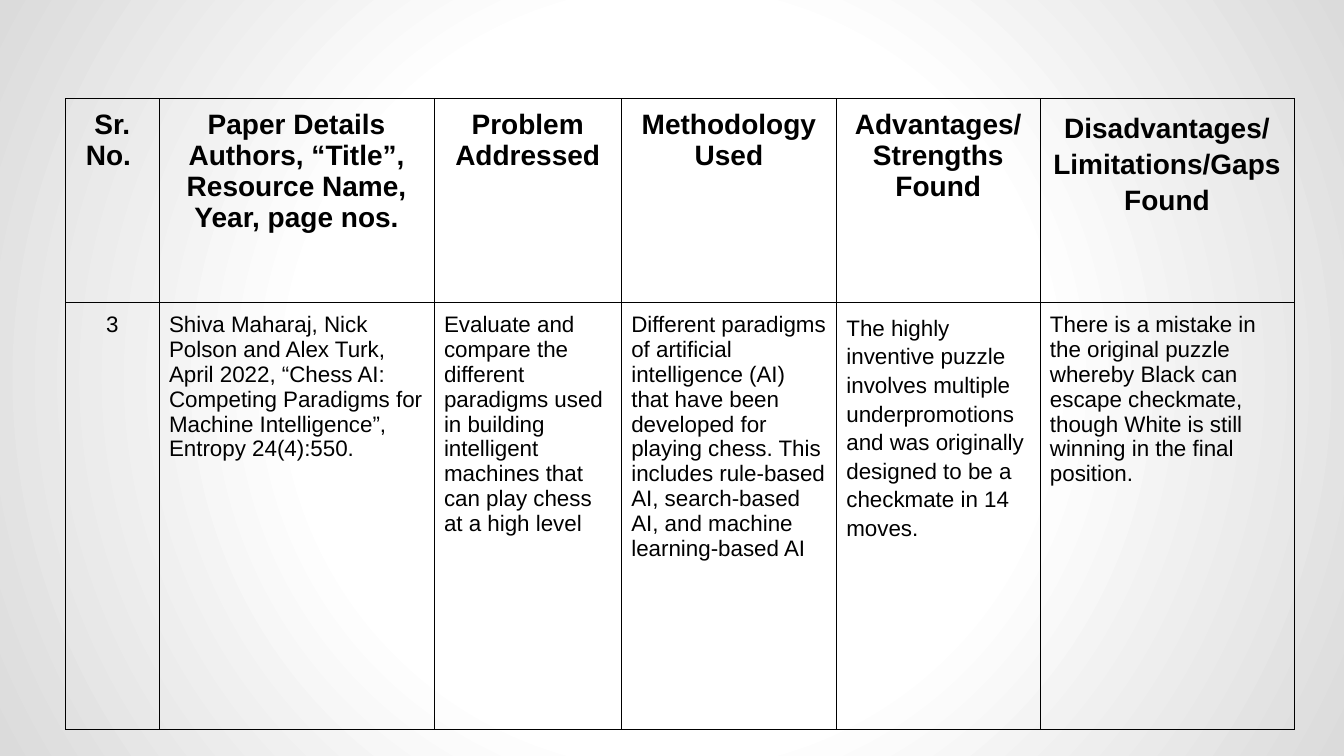
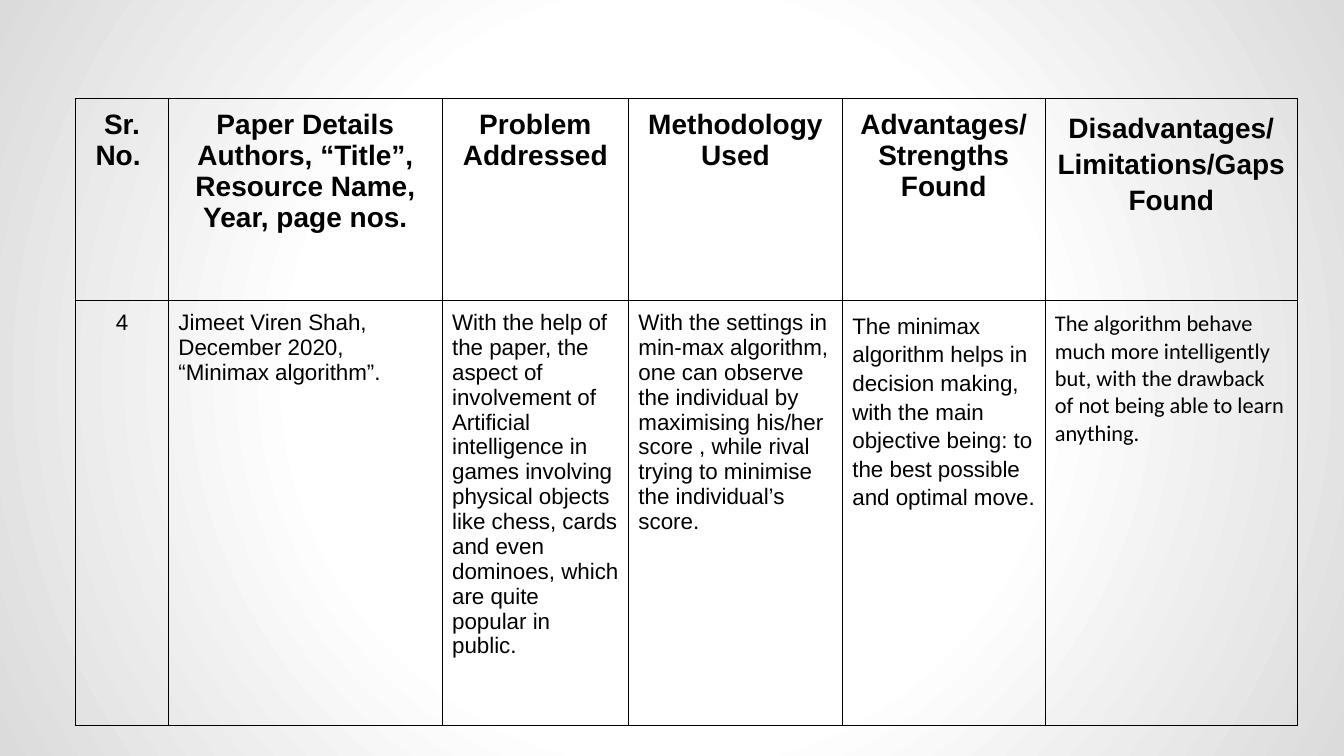
from dataclasses import dataclass

import lxml.etree
import pptx
import pptx.dml.color
import pptx.enum.text
import pptx.oxml
import pptx.oxml.ns
import pptx.presentation
import pptx.slide
import pptx.table
import pptx.util

Cm = pptx.util.Cm
Pt = pptx.util.Pt
ALIGN = pptx.enum.text.PP_ALIGN

INK = "000000"
PAPER = "FFFFFF"
EDGE = "DBDBDB"
FONT = "Arial"
TABLE_TOP = 2.49
COLUMN_WIDTHS = (2.36, 6.93, 4.72, 5.42, 5.13, 6.4)
MARGINS = {f"margin_{side}": Cm(0.25) for side in ("left", "right", "top", "bottom")}
PLAIN_TABLE = {"first_row": False, "horz_banding": False}


@dataclass(frozen=True)
class Entry:
    """Content and look of one table cell; each line of text is a paragraph."""
    text: str
    size: int = 16
    bold: bool = False
    align: ALIGN = ALIGN.LEFT
    spacing: float = 1.0
    font: str = FONT


@dataclass(frozen=True)
class Survey:
    """One page of the literature survey, with lengths in centimetres."""
    left: float
    scale: float
    row_heights: tuple[float, float]
    paper: tuple[Entry, ...]


def heading(text: str, spacing: float = 1.0) -> Entry:
    return Entry(text, 20, True, ALIGN.CENTER, spacing)


HEADINGS = (
    heading("Sr. No. "),
    heading("Paper Details\nAuthors, “Title”, Resource Name, Year, page nos."),
    heading("Problem Addressed"),
    heading("Methodology Used"),
    heading("Advantages/ Strengths Found"),
    heading("Disadvantages/ Limitations/Gaps Found", 1.15),
)

SURVEYS = (
    Survey(1.65, 1.0, (5.13, 10.77), (
        Entry("3", align=ALIGN.CENTER),
        Entry("Shiva Maharaj, Nick Polson and Alex Turk, April 2022, “Chess AI: "
              "Competing Paradigms for Machine Intelligence”, Entropy 24(4):550."),
        Entry("Evaluate and compare the different paradigms used in building "
              "intelligent machines that can play chess at a high level"),
        Entry("Different paradigms of artificial intelligence (AI) that have been "
              "developed for playing chess. This includes rule-based AI, "
              "search-based AI, and machine learning-based AI"),
        Entry("The highly inventive puzzle involves multiple underpromotions and "
              "was originally designed to be a checkmate in 14 moves.", spacing=1.15),
        Entry("There is a mistake in the original puzzle whereby Black can escape "
              "checkmate, though White is still winning in the final position."),
    )),
    Survey(1.9, 0.995, (5.08, 10.7), (
        Entry("4", align=ALIGN.CENTER),
        Entry("Jimeet Viren Shah, December 2020, “Minimax algorithm”."),
        Entry("With the help of the paper, the aspect of involvement of Artificial "
              "intelligence in games involving physical objects like chess, cards "
              "and even dominoes, which are quite popular in public."),
        Entry("With the settings in min-max algorithm, one can observe the "
              "individual by maximising his/her score , while rival trying to "
              "minimise the individual’s score."),
        Entry("The minimax algorithm helps in decision making, with the main "
              "objective being: to the best possible and optimal move.", spacing=1.15),
        Entry("The algorithm behave much more intelligently but, with the drawback "
              "of not being able to learn anything.", font="Calibri"),
    )),
)


def colour(code: str) -> pptx.dml.color.RGBColor:
    return pptx.dml.color.RGBColor.from_string(code)


def apply_format(target: object, values: dict[str, object]) -> None:
    for name, value in values.items():
        setattr(target, name, value)


def paint_background(master: pptx.slide.SlideMaster) -> None:
    """Give every page a radial gradient that darkens towards the corners."""
    master.background.fill.solid()
    stops = "".join(
        f'<a:gs pos="{percent * 1000}"><a:srgbClr val="{code}"/></a:gs>'
        for percent, code in ((0, PAPER), (48, PAPER), (100, EDGE))
    )
    gradient = pptx.oxml.parse_xml(
        f'<a:gradFill {pptx.oxml.ns.nsdecls("a")} rotWithShape="1">'
        f'<a:gsLst>{stops}</a:gsLst><a:path path="circle">'
        '<a:fillToRect l="50000" t="50000" r="50000" b="50000"/></a:path></a:gradFill>'
    )
    solid = next(master.element.iter(pptx.oxml.ns.qn("a:solidFill")))
    solid.getparent().replace(solid, gradient)


def draw_borders(cell: pptx.table._Cell) -> None:
    properties = cell._tc.get_or_add_tcPr()
    for side in "LRTB":
        line = lxml.etree.SubElement(
            properties, pptx.oxml.ns.qn(f"a:ln{side}"), w=str(Pt(0.75)))
        fill = lxml.etree.SubElement(line, pptx.oxml.ns.qn("a:solidFill"))
        lxml.etree.SubElement(fill, pptx.oxml.ns.qn("a:srgbClr"), val=INK)


def fill_cell(cell: pptx.table._Cell, entry: Entry) -> None:
    draw_borders(cell)
    cell.fill.background()
    apply_format(cell, MARGINS)
    cell.text = entry.text
    for para in cell.text_frame.paragraphs:
        apply_format(para, {"alignment": entry.align, "line_spacing": entry.spacing})
        for span in para.runs:
            apply_format(span.font, {
                "name": entry.font, "size": Pt(entry.size), "bold": entry.bold})
            span.font.color.rgb = colour(INK)


def add_survey(deck: pptx.presentation.Presentation, survey: Survey) -> None:
    page = deck.slides.add_slide(deck.slide_layouts[6])
    rows = (HEADINGS, survey.paper)
    widths = [width * survey.scale for width in COLUMN_WIDTHS]
    table = page.shapes.add_table(
        len(rows), len(widths), Cm(survey.left), Cm(TABLE_TOP),
        Cm(sum(widths)), Cm(sum(survey.row_heights))).table
    apply_format(table, PLAIN_TABLE)
    for column, width in zip(table.columns, widths):
        column.width = Cm(width)
    for row, height, entries in zip(table.rows, survey.row_heights, rows):
        row.height = Cm(height)
        for cell, entry in zip(row.cells, entries):
            fill_cell(cell, entry)


def main() -> None:
    deck = pptx.Presentation()
    apply_format(deck, {"slide_width": Cm(33.87), "slide_height": Cm(19.05)})
    paint_background(deck.slide_master)
    for survey in SURVEYS:
        add_survey(deck, survey)
    deck.save("out.pptx")


if __name__ == "__main__":
    main()
